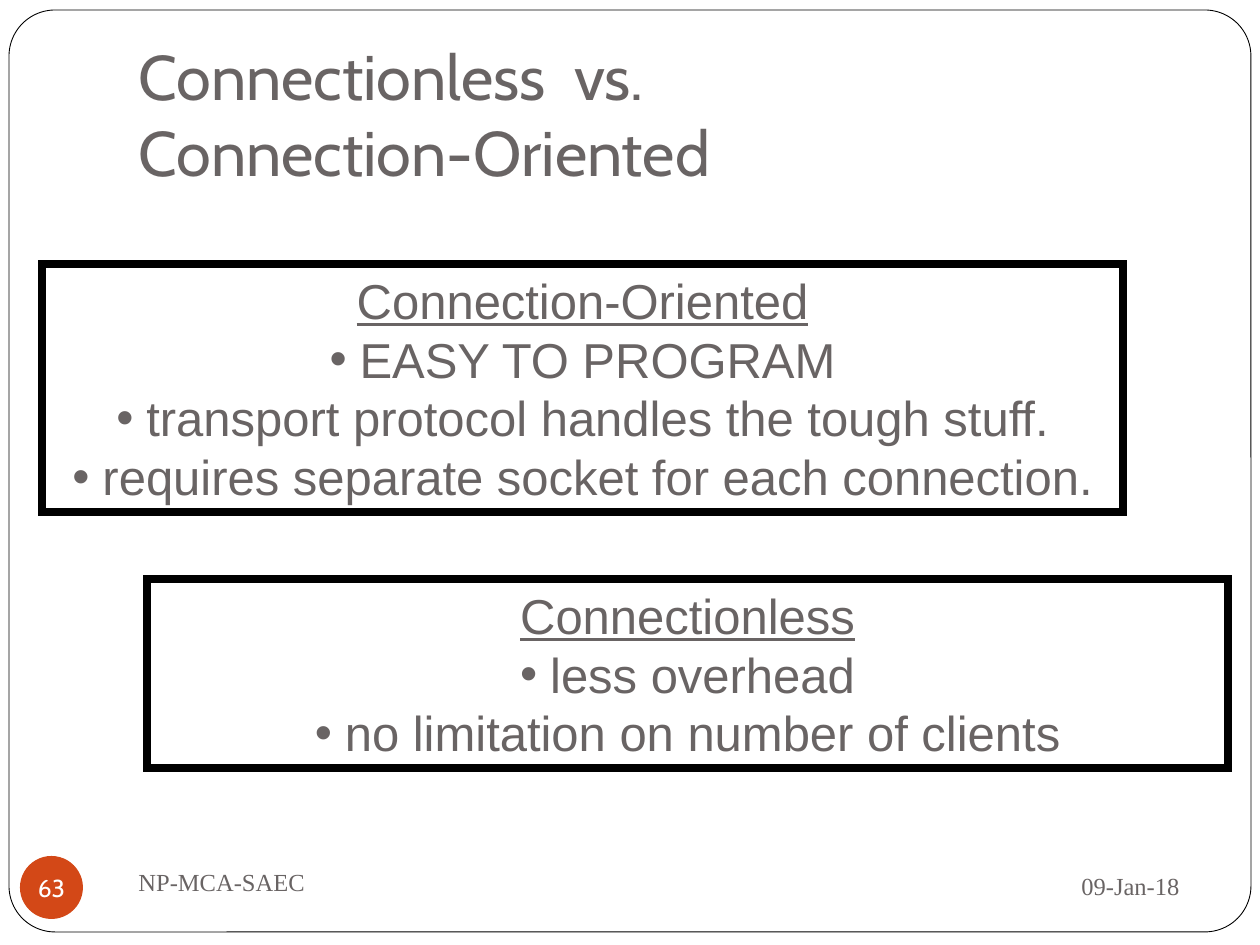
"""Build the slide comparing connection-oriented and connectionless sockets."""
from dataclasses import dataclass

from lxml import etree
from pptx import Presentation
from pptx.dml.color import RGBColor
from pptx.enum.shapes import MSO_SHAPE
from pptx.enum.text import MSO_ANCHOR, PP_ALIGN
from pptx.oxml.ns import qn
from pptx.util import Emu, Pt

RECTANGLE, ROUNDED, OVAL = MSO_SHAPE.RECTANGLE, MSO_SHAPE.ROUNDED_RECTANGLE, MSO_SHAPE.OVAL
TOP, MIDDLE, BOTTOM = MSO_ANCHOR.TOP, MSO_ANCHOR.MIDDLE, MSO_ANCHOR.BOTTOM
LEFT, CENTER, RIGHT = PP_ALIGN.LEFT, PP_ALIGN.CENTER, PP_ALIGN.RIGHT
PIXELS_PER_INCH = 126
BULLET_INDENT = 30
GRAY, BLACK, WHITE, ORANGE = "696464", "000000", "FFFFFF", "D34817"


@dataclass
class Area:
    left: int
    top: int
    width: int
    height: int


@dataclass
class Panel:
    area: Area
    heading: str
    points: list[str]


PANELS = [
    Panel(Area(42, 264, 1081, 248), "Connection-Oriented", [
        "EASY TO PROGRAM",
        "transport protocol handles the tough stuff.",
        "requires separate socket for each connection.",
    ]),
    Panel(Area(147, 579, 1081, 189), "Connectionless", [
        "less overhead",
        "no limitation on number of clients",
    ]),
]


def px(value: int) -> Emu:
    return Emu(round(value * 914400 / PIXELS_PER_INCH))


def bounds(area: Area) -> list[Emu]:
    return [px(value) for value in (area.left, area.top, area.width, area.height)]


def color(value: str) -> RGBColor:
    return RGBColor.from_string(value)


def prepare_frame(shape, anchor=TOP, wrap: bool = True):
    frame = shape.text_frame
    frame.word_wrap = wrap
    frame.vertical_anchor = anchor
    return frame


def write(paragraph, text: str, *, font: str, size: int, fill: str = GRAY,
          align=LEFT, underline: bool = False, bullet: bool = False) -> None:
    paragraph.text = text
    paragraph.alignment = align
    paragraph.line_spacing = 1.0
    paragraph.space_before = paragraph.space_after = Pt(0)
    if bullet:
        properties = paragraph._p.get_or_add_pPr()
        properties.set("marL", str(px(BULLET_INDENT)))
        properties.set("indent", str(px(-BULLET_INDENT)))
        etree.SubElement(properties, qn("a:buFont")).set("typeface", "Arial")
        etree.SubElement(properties, qn("a:buChar")).set("char", "•")
    for run in paragraph.runs:
        run.font.name = font
        run.font.size = Pt(size)
        run.font.bold = False
        run.font.underline = underline
        run.font.color.rgb = color(fill)


def add_outline(slide, kind, area: Area, *, fill: str = "", line: str = "",
                weight: float = 0):
    shape = slide.shapes.add_shape(kind, *bounds(area))
    shape.shadow.inherit = False
    if fill:
        shape.fill.solid()
        shape.fill.fore_color.rgb = color(fill)
    else:
        shape.fill.background()
    if line:
        shape.line.color.rgb = color(line)
        shape.line.width = Pt(weight)
        outline = shape._element.spPr.find(qn("a:ln"))
        etree.SubElement(outline, qn("a:miter")).set("lim", "800000")
    else:
        shape.line.fill.background()
    return shape


def add_panel(slide, panel: Panel) -> None:
    shape = add_outline(slide, RECTANGLE, panel.area, line=BLACK, weight=4.5)
    frame = prepare_frame(shape)
    for index, text in enumerate([panel.heading, *panel.points]):
        paragraph = frame.add_paragraph() if index else frame.paragraphs[0]
        write(paragraph, text, font="Arial", size=28, align=CENTER,
              underline=index == 0, bullet=index > 0)


def add_label(slide, area: Area, text: str, align) -> None:
    shape = slide.shapes.add_textbox(*bounds(area))
    frame = prepare_frame(shape, MIDDLE)
    write(frame.paragraphs[0], text, font="Times New Roman", size=14, align=align)


def add_badge(slide, area: Area, text: str) -> None:
    shape = add_outline(slide, OVAL, area, fill=ORANGE)
    frame = prepare_frame(shape, MIDDLE, wrap=False)
    frame.margin_left = frame.margin_right = frame.margin_top = frame.margin_bottom = 0
    write(frame.paragraphs[0], text, font="Cabin", size=14, fill=WHITE, align=CENTER)


def set_title(slide, area: Area, text: str) -> None:
    title = slide.shapes.title
    title.left, title.top, title.width, title.height = bounds(area)
    frame = prepare_frame(title, BOTTOM)
    write(frame.paragraphs[0], text, font="Cabin", size=36)


def main() -> None:
    presentation = Presentation()
    presentation.slide_width, presentation.slide_height = px(1260), px(945)
    slide = presentation.slides.add_slide(presentation.slide_layouts[5])
    border = add_outline(slide, ROUNDED, Area(9, 10, 1242, 922), line=BLACK, weight=0.5)
    border.adjustments[0] = 0.05
    set_title(slide, Area(126, 37, 1071, 158), "Connectionless  vs.\vConnection-Oriented")
    for panel in PANELS:
        add_panel(slide, panel)
    add_label(slide, Area(851, 853, 341, 66), "09-Jan-18", RIGHT)
    add_badge(slide, Area(20, 856, 63, 63), "63")
    add_label(slide, Area(126, 850, 546, 63), "NP-MCA-SAEC", LEFT)
    presentation.save("out.pptx")


if __name__ == "__main__":
    main()
